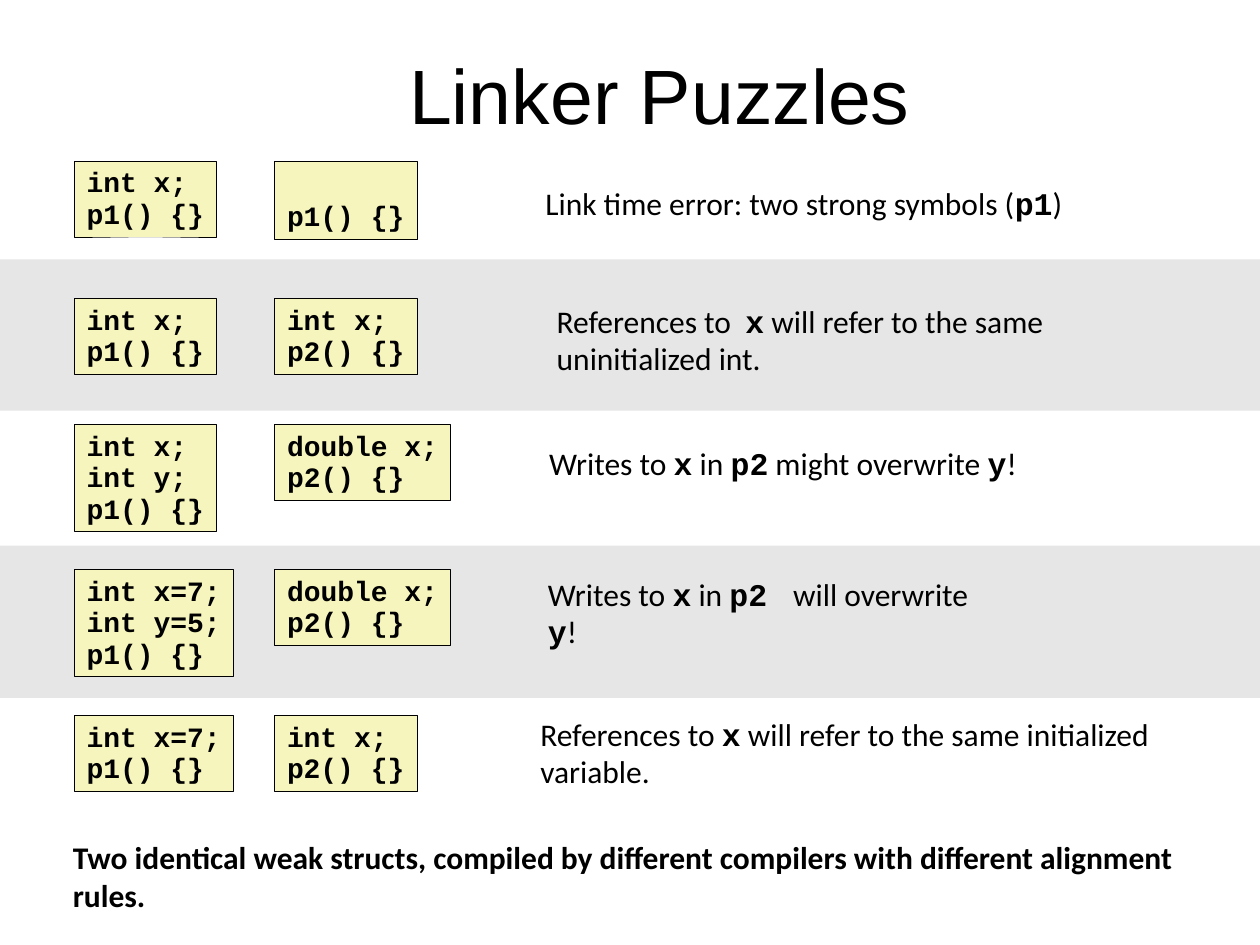
from pptx import Presentation, util as u
from pptx.dml.color import RGBColor
from pptx.enum import shapes, text

# Content: (top, left code, right code, note); a note is (left, top, width, lines),
# with code words between backticks
TITLE = "Linker Puzzles"
PUZZLES = [
    (1.28, ["int x;", "p1() {}"], ["p1() {}"],
     (4.23, 1.43, 4.32, ["Link time error: two strong symbols (`p1`)"])),
    (2.37, ["int x;", "p1() {}"], ["int x;", "p2() {}"],
     (4.32, 2.36, 4.15, ["References to  `x` will refer to the same", "uninitialized int."])),
    (3.37, ["int x;", "int y;", "p1() {}"], ["double x;", "p2() {}"],
     (4.26, 3.49, 3.93, ["Writes to `x` in `p2` might overwrite `y`!"])),
    (4.52, ["int x=7;", "int y=5;", "p1() {}"], ["double x;", "p2() {}"],
     (4.25, 4.53, 3.78, ["Writes to `x` in `p2 ` will overwrite `y`!"])),
    (5.68, ["int x=7;", "p1() {}"], ["int x;", "p2() {}"],
     (4.19, 5.64, 5.07, ["References to `x` will refer to the same initialized", "variable."])),
]
CLOSING = ("Two identical weak structs, compiled by different compilers "
           "with different alignment rules.")

# Layout and style
BANDS = [(2.06, 1.2), (4.33, 1.21)]
CODE_LEFTS = (0.59, 2.18)
CHAR_W, LINE_H = 0.13, 0.25
COLORS = {"band": "E6E6E6", "code": "F6F5BD", "ink": "000000"}
CODE = {"name": "Courier New", "bold": True}
PROSE = {"name": "Calibri", "bold": False}
STRONG = {"name": "Calibri", "bold": True}


def rgb(key):
    return RGBColor.from_string(COLORS[key])


def add_run(p, words, size, style):
    r = p.add_run()
    r.text = words
    r.font.size = u.Pt(size)
    r.font.color.rgb = rgb("ink")
    for name, value in style.items():
        setattr(r.font, name, value)


def write(sp, lines, size, spacing, styles, wrap=False, anchor=text.MSO_ANCHOR.TOP):
    """Write one paragraph per line, switching style at each backtick."""
    tf = sp.text_frame
    tf.word_wrap = wrap
    tf.vertical_anchor = anchor
    for i, line in enumerate(lines):
        p = tf.paragraphs[0] if i == 0 else tf.add_paragraph()
        p.alignment = text.PP_ALIGN.LEFT
        p.line_spacing = spacing
        for j, words in enumerate(line.split("`")):
            if words:
                add_run(p, words, size, styles[j % 2])


def add_rect(s, box, fill):
    sp = s.shapes.add_shape(shapes.MSO_SHAPE.RECTANGLE, *map(u.Inches, box))
    sp.shadow.inherit = False
    sp.fill.solid()
    sp.fill.fore_color.rgb = rgb(fill)
    sp.line.fill.background()
    return sp


def add_code(s, left, top, lines):
    width = CHAR_W * max(map(len, lines)) + 0.22
    # A single line sits at the bottom of a two-line box
    height = 0.62 if len(lines) == 1 else LINE_H * len(lines) + 0.1
    sp = add_rect(s, (left, top, width, height), "code")
    sp.line.color.rgb = rgb("ink")
    sp.line.width = u.Pt(0.25)
    write(sp, lines, 16, 0.94, (CODE, CODE), anchor=text.MSO_ANCHOR.BOTTOM)


def add_note(s, left, top, width, lines, styles=(PROSE, CODE), height=None, wrap=False):
    height = height or 0.11 + 0.29 * len(lines)
    sp = s.shapes.add_textbox(*map(u.Inches, (left, top, width, height)))
    write(sp, lines, 18, 0.98, styles, wrap)


def main():
    prs = Presentation()
    prs.slide_width, prs.slide_height = u.Inches(10), u.Inches(7.5)
    s = prs.slides.add_slide(prs.slide_layouts[5])

    # Grey bands
    for top, height in BANDS:
        add_rect(s, (0, top, 10, height), "band")

    # Title
    title = s.shapes.title
    title.left, title.top, title.width, title.height = map(u.Inches, (0.47, 0.31, 9.53, 0.86))
    title.text_frame.vertical_anchor = text.MSO_ANCHOR.MIDDLE
    p = title.text_frame.paragraphs[0]
    p.alignment = text.PP_ALIGN.CENTER
    add_run(p, TITLE, 44, {"name": "Arial"})

    # Puzzle rows
    for top, *codes, note in PUZZLES:
        for left, lines in zip(CODE_LEFTS, codes):
            add_code(s, left, top, lines)
        add_note(s, *note)

    # Closing remark
    add_note(s, 0.48, 6.62, 9.16, [CLOSING], (STRONG, CODE), height=0.69, wrap=True)
    prs.save("out.pptx")


if __name__ == "__main__":
    main()
